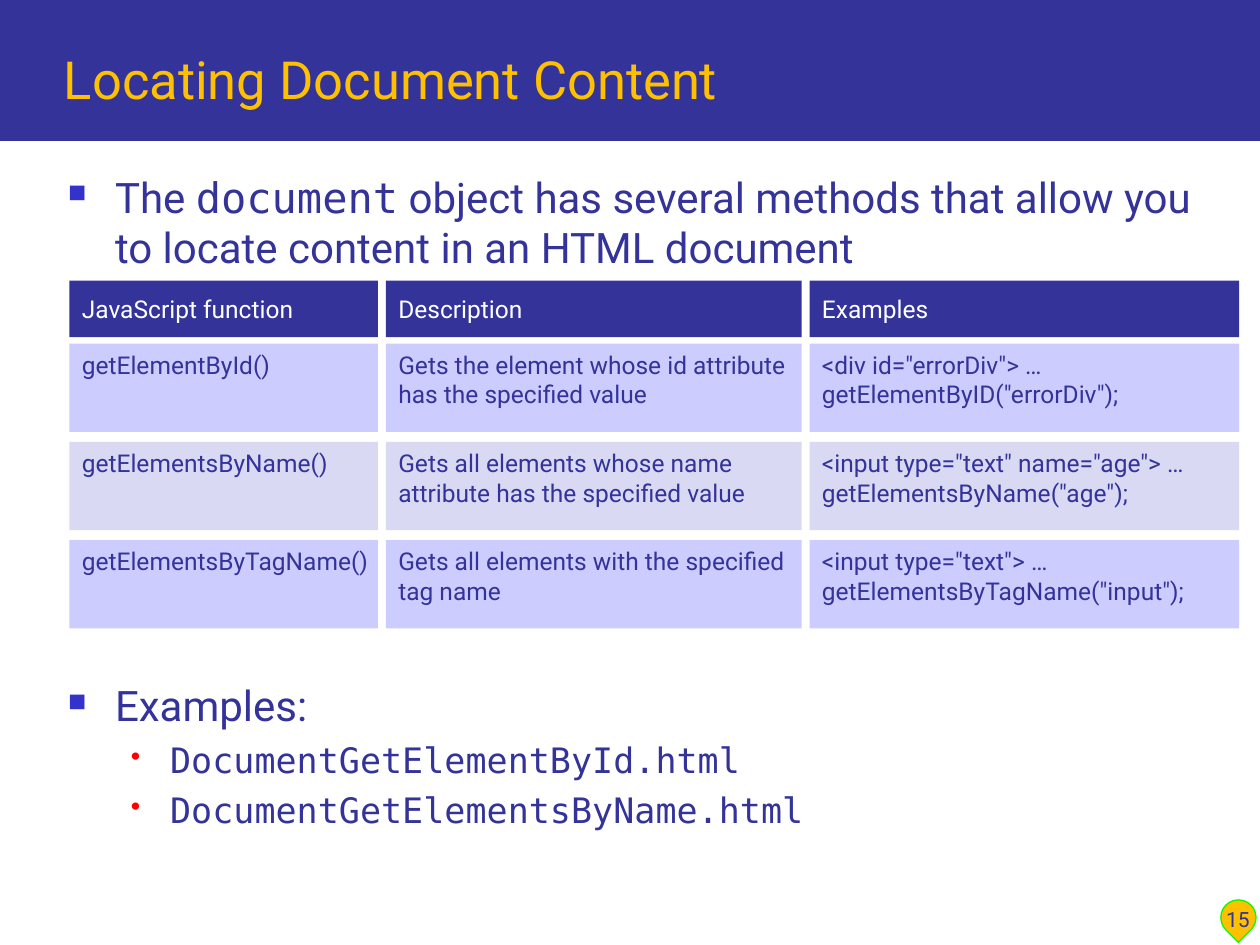
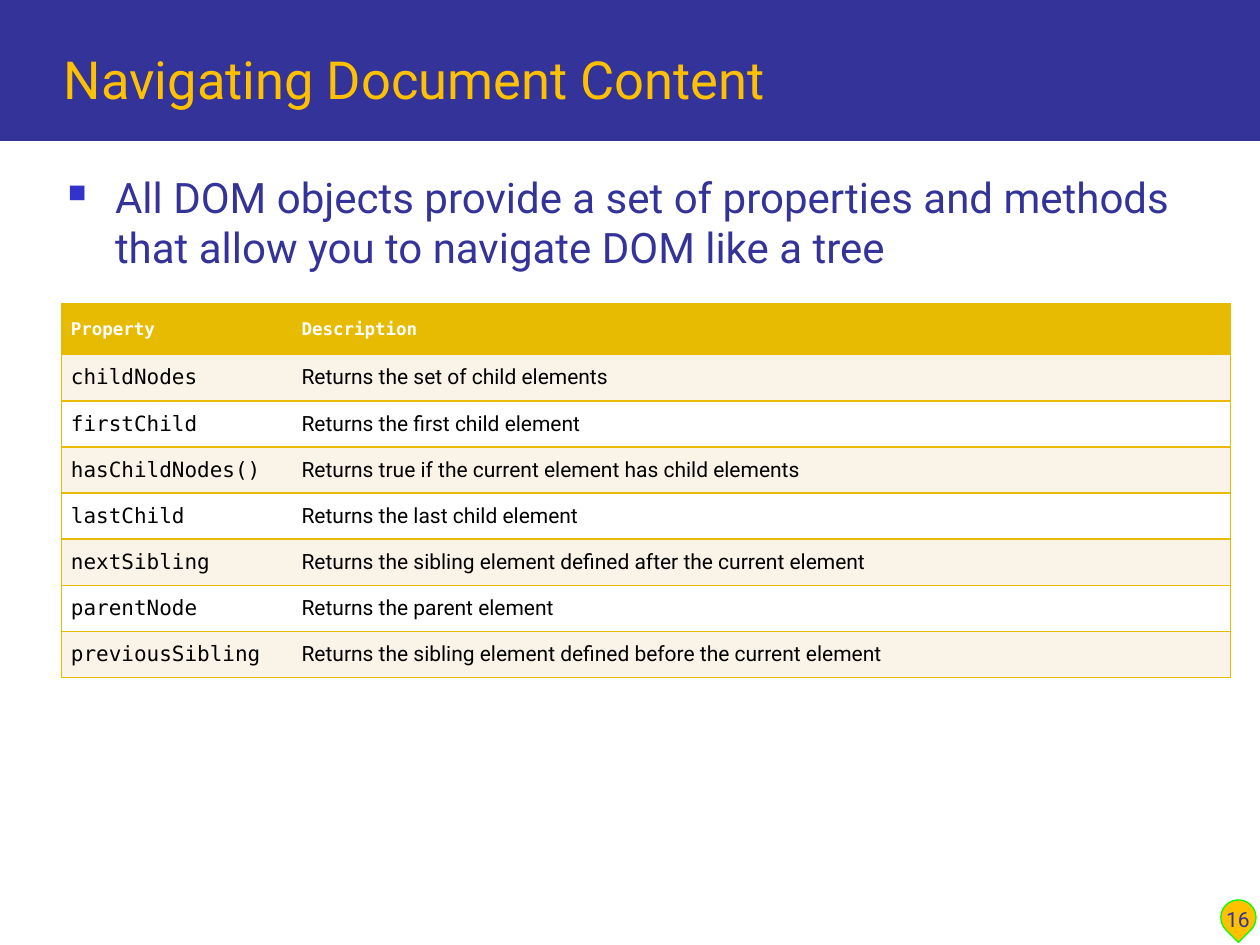
from lxml.etree import SubElement
from pptx import Presentation
from pptx.dml.color import RGBColor
from pptx.enum.shapes import MSO_SHAPE
from pptx.enum.text import MSO_ANCHOR, PP_ALIGN
from pptx.oxml.ns import qn
from pptx.util import Cm, Pt

NAVY, AMBER, WHITE, GOLD = "333399", "FFC000", "FFFFFF", "E7BB01"
SANS, MONO = "Roboto", "DejaVu Sans Mono"
SQUARE = {"character": "■", "color": "3333CC", "percent": 60, "margin": 0.95, "hang": 0.95}
DOT = {"character": "•", "color": "FF0000", "percent": 80, "margin": 2.06, "hang": 0.79}


def color(hex_string):
    return RGBColor.from_string(hex_string)


def write(frame, text, size=14, font=SANS, fill=NAVY, bold=False,
          align=PP_ALIGN.LEFT, before=0, bullet=None):
    paragraph = frame.paragraphs[0]
    if paragraph.runs:
        paragraph = frame.add_paragraph()
    if bullet:
        properties = paragraph._p.get_or_add_pPr()
        properties.set("marL", str(Cm(bullet["margin"])))
        properties.set("indent", str(-Cm(bullet["hang"])))
        bullet_color = SubElement(properties, qn("a:buClr"))
        SubElement(bullet_color, qn("a:srgbClr"), val=bullet["color"])
        SubElement(properties, qn("a:buSzPct"), val=str(bullet["percent"] * 1000))
        SubElement(properties, qn("a:buChar"), char=bullet["character"])
    paragraph.alignment = align
    if before:
        paragraph.space_before = Pt(before)
    pieces = [(text, font)] if isinstance(text, str) else text
    for piece, piece_font in pieces:
        run = paragraph.add_run()
        run.text = piece
        run.font.size = Pt(size)
        run.font.name = piece_font
        run.font.bold = bold
        run.font.color.rgb = color(fill)


presentation = Presentation()
presentation.slide_width = Cm(25.4)
presentation.slide_height = Cm(19.05)

contents = [
    ("Locating Document Content", 15,
     [("The ", SANS), ("document", MONO),
      (" object has several methods that allow you to locate content in an HTML document", SANS)]),
    ("Navigating Document Content", 16,
     "All DOM objects provide a set of properties and methods that allow you to navigate DOM like a tree"),
]
slides = []
bodies = []
for title, number, statement in contents:
    slide = presentation.slides.add_slide(presentation.slide_layouts[6])
    slides.append(slide)

    band = slide.shapes.add_shape(MSO_SHAPE.RECTANGLE, 0, 0, Cm(25.4), Cm(2.84))
    band.shadow.inherit = False
    band.fill.solid()
    band.fill.fore_color.rgb = color(NAVY)
    band.line.fill.background()

    marker = slide.shapes.add_shape(MSO_SHAPE.TEAR, Cm(24.61), Cm(18.14), Cm(0.71), Cm(0.71))
    marker.rotation = 135
    marker.shadow.inherit = False
    marker.fill.solid()
    marker.fill.fore_color.rgb = color(AMBER)
    marker.line.color.rgb = color("00FF00")
    marker.line.width = Pt(0.75)

    body = slide.shapes.add_textbox(Cm(1.12), Cm(3.33), Cm(23.57), Cm(13.72)).text_frame
    body.word_wrap = True
    write(body, statement, size=24, bullet=SQUARE)
    bodies.append(body)

    heading = slide.shapes.add_textbox(Cm(1.04), Cm(0.41), Cm(23.75), Cm(1.93)).text_frame
    heading.word_wrap = True
    heading.vertical_anchor = MSO_ANCHOR.BOTTOM
    write(heading, title, size=30, fill=AMBER)

    page = slide.shapes.add_textbox(Cm(24.23), Cm(17.63), Cm(1.45), Cm(1.27)).text_frame
    page.word_wrap = True
    page.vertical_anchor = MSO_ANCHOR.BOTTOM
    write(page, str(number), size=12, align=PP_ALIGN.CENTER)

write(bodies[0], "Examples:", size=24, before=233, bullet=SQUARE)
for file_name in ("DocumentGetElementById.html", "DocumentGetElementsByName.html"):
    write(bodies[0], file_name, size=20, font=MONO, before=4.7, bullet=DOT)

functions = [
    ("JavaScript function", "Description", "Examples"),
    ("getElementById()", "Gets the element whose id attribute has the specified value",
     '<div id="errorDiv"> …\ngetElementByID("errorDiv");'),
    ("getElementsByName()", "Gets all elements whose name attribute has the specified value",
     '<input type="text" name="age"> …\ngetElementsByName("age");'),
    ("getElementsByTagName()", "Gets all elements with the specified tag name",
     '<input type="text"> …\ngetElementsByTagName("input");'),
]
for row, texts in enumerate(functions):
    is_header = row == 0
    top = 5.66 if is_header else 6.93 + (row - 1) * 1.98
    height = 1.14 if is_header else 1.78
    background = NAVY if is_header else ("D9D9F3", "CCCCFF")[row % 2]
    left = 1.4
    for column, (text, width) in enumerate(zip(texts, (6.22, 8.38, 8.66))):
        box = slides[0].shapes.add_shape(
            MSO_SHAPE.RECTANGLE, Cm(left), Cm(top), Cm(width), Cm(height))
        box.shadow.inherit = False
        box.fill.solid()
        box.fill.fore_color.rgb = color(background)
        box.line.fill.background()
        frame = box.text_frame
        frame.word_wrap = column == 1
        frame.vertical_anchor = MSO_ANCHOR.MIDDLE if is_header else MSO_ANCHOR.TOP
        for line in text.split("\n"):
            write(frame, line, fill=WHITE if is_header else NAVY)
        left += width + 0.16

members = [
    ("Property", "Description"),
    ("childNodes", "Returns the set of child elements"),
    ("firstChild", "Returns the first child element"),
    ("hasChildNodes()", "Returns true if the current element has child elements"),
    ("lastChild", "Returns the last child element"),
    ("nextSibling", "Returns the sibling element defined after the current element"),
    ("parentNode", "Returns the parent element"),
    ("previousSibling", "Returns the sibling element defined before the current element"),
]
table = slides[1].shapes.add_table(
    len(members), 2, Cm(1.24), Cm(6.12), Cm(23.57), Cm(7.52)).table
table.first_row = False
table.horz_banding = False
table.columns[0].width = Cm(4.65)
table.columns[1].width = Cm(18.92)
for row, texts in enumerate(members):
    is_header = row == 0
    table.rows[row].height = Cm(1.03 if is_header else 0.93)
    for column, text in enumerate(texts):
        cell = table.cell(row, column)
        cell.vertical_anchor = MSO_ANCHOR.MIDDLE
        cell.margin_left = cell.margin_right = Cm(0.19)
        cell.margin_top = cell.margin_bottom = 0
        hidden_edge = ("a:lnR", "a:lnL")[column]
        for edge in ("a:lnL", "a:lnR", "a:lnT", "a:lnB"):
            border = SubElement(cell._tc.get_or_add_tcPr(), qn(edge), w=str(Pt(1)))
            if edge == hidden_edge:
                SubElement(border, qn("a:noFill"))
            else:
                border_fill = SubElement(border, qn("a:solidFill"))
                SubElement(border_fill, qn("a:srgbClr"), val=GOLD)
        cell.fill.solid()
        cell.fill.fore_color.rgb = color(GOLD if is_header else (WHITE, "FAF3E7")[row % 2])
        write(cell.text_frame, text, size=10 if is_header else 12,
              font=MONO if is_header or column == 0 else SANS,
              fill=WHITE if is_header else "000000", bold=is_header)

presentation.save("out.pptx")
